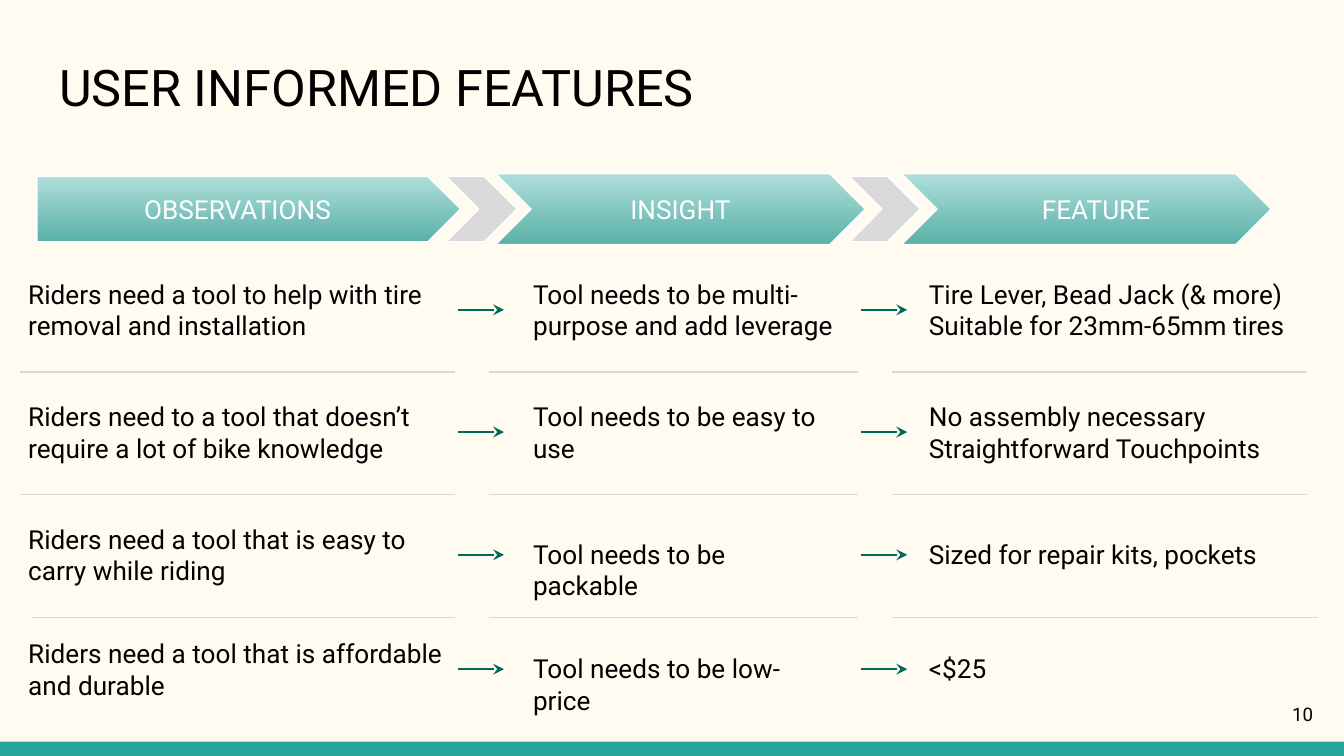
from dataclasses import dataclass

from lxml import etree
from pptx import Presentation
from pptx.dml.color import RGBColor
from pptx.enum.shapes import MSO_CONNECTOR, MSO_SHAPE
from pptx.enum.text import MSO_ANCHOR, MSO_AUTO_SIZE, PP_ALIGN
from pptx.oxml.ns import qn
from pptx.shapes.autoshape import Shape
from pptx.shapes.connector import Connector
from pptx.slide import Slide
from pptx.text.text import TextFrame
from pptx.util import Pt

STRAIGHT = MSO_CONNECTOR.STRAIGHT
RECTANGLE = MSO_SHAPE.RECTANGLE
CHEVRON = MSO_SHAPE.CHEVRON
PENTAGON = MSO_SHAPE.PENTAGON
TOP = MSO_ANCHOR.TOP
MIDDLE = MSO_ANCHOR.MIDDLE
LEFT = PP_ALIGN.LEFT
CENTER = PP_ALIGN.CENTER
RIGHT = PP_ALIGN.RIGHT
GROW = MSO_AUTO_SIZE.SHAPE_TO_FIT_TEXT

CREAM = RGBColor(0xFF, 0xFB, 0xF0)
TEAL = RGBColor(0x26, 0xA6, 0x9A)
DARK_TEAL = RGBColor(0x00, 0x69, 0x5C)
GRADIENT_TOP = RGBColor(0xAF, 0xDE, 0xDA)
GRADIENT_BOTTOM = RGBColor(0x5A, 0xB1, 0xA8)
GRAY = RGBColor(0xD9, 0xD9, 0xD9)
WHITE = RGBColor(0xFF, 0xFF, 0xFF)
BLACK = RGBColor(0x00, 0x00, 0x00)

FONT = "Roboto"
INSET = 7.2
HAIRLINE = 0.75
ONE_LINE = 32
TWO_LINES = 48
ARROW_LEFTS = (245.5, 461.5)
ARROW_LENGTH = 24.5


@dataclass(frozen=True)
class Box:
    left: float
    top: float
    width: float
    height: float


@dataclass(frozen=True)
class Banner:
    kind: MSO_SHAPE
    box: Box


@dataclass(frozen=True)
class Heading:
    text: str
    left: float
    width: float


@dataclass(frozen=True)
class Row:
    center: float
    observation: tuple[str, ...]
    insight: tuple[str, ...]
    feature: tuple[str, ...]
    height: float = TWO_LINES
    insight_width: float = 175


@dataclass(frozen=True)
class Line:
    start_x: float
    start_y: float
    end_x: float
    end_y: float
    color: RGBColor
    width: float = HAIRLINE


BANNERS = (
    Banner(CHEVRON, Box(483, 93, 198, 38)),
    Banner(CHEVRON, Box(265.5, 93, 198, 38)),
    Banner(PENTAGON, Box(19.75, 94.5, 227, 35)),
)
SEPARATORS = (Box(239, 94.5, 38, 35), Box(455, 94.5, 38, 35))
HEADINGS = (
    Heading("OBSERVATIONS", 36.5, 181.5),
    Heading("INSIGHT", 303, 123),
    Heading("FEATURE", 479, 216.5),
)
ROWS = (
    Row(166, ("Riders need a tool to help with tire removal and installation",),
        ("Tool needs to be multi-", "purpose and add leverage"),
        ("Tire Lever, Bead Jack (& more)", "Suitable for 23mm-65mm tires"),
        insight_width=201),
    Row(231.5, ("Riders need to a tool that doesn’t require a lot of bike knowledge",),
        ("Tool needs to be easy to use",),
        ("No assembly necessary", "Straightforward Touchpoints")),
    Row(297.25, ("Riders need a tool that is easy to carry while riding",),
        ("Tool needs to be packable",),
        ("Sized for repair kits, pockets",), height=ONE_LINE),
    Row(358.5, ("Riders need a tool that is affordable and durable",),
        ("Tool needs to be low-price",),
        ("<$25",), height=ONE_LINE),
)
RULES = (
    Line(10.75, 199.25, 700, 199.25, GRAY),
    Line(10.75, 265, 700, 265, GRAY),
    Line(17, 331, 706.25, 331, GRAY),
)
COLUMN_GAPS = (
    Line(252.75, 144, 252.75, 378.5, CREAM, 18),
    Line(468.75, 150.5, 468.75, 384.5, CREAM, 18),
)


def place(shape: Shape, box: Box) -> None:
    shape.left, shape.top = Pt(box.left), Pt(box.top)
    shape.width, shape.height = Pt(box.width), Pt(box.height)


def write(frame: TextFrame, lines: tuple[str, ...], size: float, color: RGBColor = BLACK,
          alignment: PP_ALIGN = LEFT, anchor: MSO_ANCHOR = TOP) -> None:
    frame.word_wrap = True
    frame.vertical_anchor = anchor
    frame.margin_left = frame.margin_right = Pt(INSET)
    frame.margin_top = frame.margin_bottom = Pt(INSET)
    for index, text in enumerate(lines):
        paragraph = frame.add_paragraph() if index else frame.paragraphs[0]
        paragraph.alignment = alignment
        run = paragraph.add_run()
        run.text = text
        run.font.name = FONT
        run.font.size = Pt(size)
        run.font.color.rgb = color


def add_text(slide: Slide, box: Box, lines: tuple[str, ...], color: RGBColor = BLACK,
             alignment: PP_ALIGN = LEFT) -> None:
    shape = slide.shapes.add_textbox(Pt(box.left), Pt(box.top), Pt(box.width), Pt(box.height))
    write(shape.text_frame, lines, 14, color, alignment)
    shape.text_frame.auto_size = GROW


def add_shape(slide: Slide, kind: MSO_SHAPE, box: Box) -> Shape:
    shape = slide.shapes.add_shape(kind, Pt(box.left), Pt(box.top), Pt(box.width), Pt(box.height))
    shape.shadow.inherit = False
    shape.line.color.rgb = WHITE
    shape.line.width = Pt(HAIRLINE)
    return shape


def add_banner(slide: Slide, banner: Banner) -> None:
    fill = add_shape(slide, banner.kind, banner.box).fill
    fill.gradient()
    fill.gradient_angle = 270
    for stop, color in zip(fill.gradient_stops, (GRADIENT_TOP, GRADIENT_BOTTOM)):
        stop.color.rgb = color


def add_solid(slide: Slide, kind: MSO_SHAPE, box: Box, color: RGBColor) -> Shape:
    shape = add_shape(slide, kind, box)
    shape.fill.solid()
    shape.fill.fore_color.rgb = color
    return shape


def add_line(slide: Slide, line: Line) -> Connector:
    connector = slide.shapes.add_connector(
        STRAIGHT, Pt(line.start_x), Pt(line.start_y), Pt(line.end_x), Pt(line.end_y))
    connector.line.color.rgb = line.color
    connector.line.width = Pt(line.width)
    etree.SubElement(connector._element.spPr, qn("a:effectLst"))
    return connector


def add_arrow(slide: Slide, left: float, center: float) -> None:
    connector = add_line(slide, Line(left, center, left + ARROW_LENGTH, center, DARK_TEAL))
    outline = connector.line._get_or_add_ln()
    etree.SubElement(outline, qn("a:tailEnd"), type="stealth", w="med", len="med")


def add_row(slide: Slide, row: Row) -> None:
    top = row.center - row.height / 2
    add_text(slide, Box(8, row.center - TWO_LINES / 2, 239, TWO_LINES), row.observation)
    add_text(slide, Box(278.5, top, row.insight_width, row.height), row.insight)
    add_text(slide, Box(490.5, top, 231, row.height), row.feature)
    for left in ARROW_LEFTS:
        add_arrow(slide, left, row.center)


def main() -> None:
    presentation = Presentation()
    presentation.slide_width, presentation.slide_height = Pt(720), Pt(405)
    slide = presentation.slides.add_slide(presentation.slide_layouts[5])
    slide.background.fill.solid()
    slide.background.fill.fore_color.rgb = CREAM

    footer = add_solid(slide, RECTANGLE, Box(0, 397.25, 720, 7.75), TEAL)
    footer.line.fill.background()
    title = slide.shapes.title
    place(title, Box(24.5, 23, 671, 48))
    write(title.text_frame, ("USER INFORMED FEATURES",), 27)
    number = slide.shapes.add_textbox(Pt(667.5), Pt(367.25), Pt(43), Pt(31))
    write(number.text_frame, ("10",), 10, alignment=RIGHT, anchor=MIDDLE)

    for banner in BANNERS:
        add_banner(slide, banner)
    for box in SEPARATORS:
        add_solid(slide, CHEVRON, box, GRAY)
    for heading in HEADINGS:
        add_text(slide, Box(heading.left, 96.5, heading.width, ONE_LINE),
                 (heading.text,), WHITE, CENTER)
    for line in RULES + COLUMN_GAPS:
        add_line(slide, line)
    for row in ROWS:
        add_row(slide, row)

    presentation.save("out.pptx")


if __name__ == "__main__":
    main()
